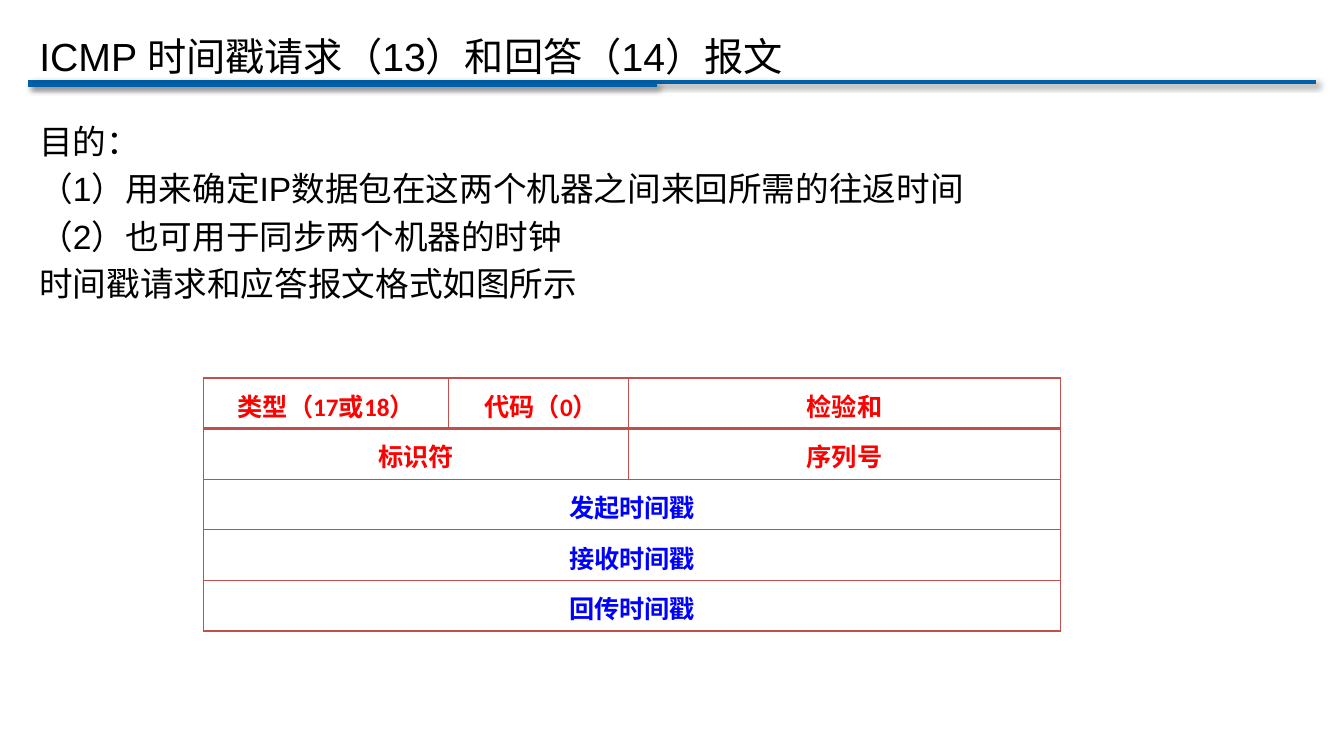
from dataclasses import dataclass

from lxml import etree
from pptx import Presentation
from pptx.dml.color import RGBColor
from pptx.enum.shapes import MSO_CONNECTOR
from pptx.enum.text import MSO_ANCHOR, MSO_AUTO_SIZE, PP_ALIGN
from pptx.oxml import parse_xml
from pptx.oxml.ns import nsdecls, qn
from pptx.util import Inches, Pt

STRAIGHT = MSO_CONNECTOR.STRAIGHT
TOP, MIDDLE = MSO_ANCHOR.TOP, MSO_ANCHOR.MIDDLE
LEFT, CENTER = PP_ALIGN.LEFT, PP_ALIGN.CENTER
NO_FIT = MSO_AUTO_SIZE.NONE


@dataclass(frozen=True)
class Theme:
    text: str = "000000"
    rule: str = "0060A8"
    border: str = "C0504D"
    cell: str = "FFFFFF"
    header: str = "FF0000"
    timestamp: str = "0000FF"
    text_font: str = "Arial"
    table_font: str = "Calibri"
    title_size: int = 28
    body_size: int = 24
    table_size: int = 18
    rule_width: int = 3


THEME = Theme()

TITLE = "ICMP 时间戳请求（13）和回答（14）报文"
PURPOSE = [
    "目的：",
    "（1）用来确定IP数据包在这两个机器之间来回所需的往返时间",
    "（2）也可用于同步两个机器的时钟",
    "时间戳请求和应答报文格式如图所示",
]
COLUMN_WIDTHS = [2.43, 1.78, 4.29]
ROW_HEIGHT = 0.47
MESSAGE_FIELDS = [
    [("类型（17或18）", 1), (" 代码（0）", 1), ("检验和", 1)],
    [("标识符", 2), ("序列号", 1)],
    [("发起时间戳", 3)],
    [("接收时间戳", 3)],
    [("回传时间戳", 3)],
]
HEADER_ROWS = 2


def style_paragraph(para, font_name, size, color, align, bold=False):
    para.alignment = align
    for span in para.runs:
        span.font.name = font_name
        span.font.size = Pt(size)
        span.font.bold = bold
        span.font.color.rgb = RGBColor.from_string(color)


def place_text(box, lines, bounds, size, anchor):
    box.left, box.top, box.width, box.height = map(Inches, bounds)
    frame = box.text_frame
    frame.text = "\n".join(lines)
    frame.word_wrap = True
    frame.auto_size = NO_FIT
    frame.vertical_anchor = anchor
    for index, para in enumerate(frame.paragraphs):
        properties = para._p.get_or_add_pPr()
        properties.set("marL", "0")
        properties.set("indent", "0")
        etree.SubElement(properties, qn("a:buNone"))
        para.space_before = Pt(5 if index else 0)
        style_paragraph(para, THEME.text_font, size, THEME.text, LEFT)


def add_rule(page, right, y):
    left = 0.28
    rule = page.shapes.add_connector(
        STRAIGHT, Inches(left), Inches(y), Inches(right), Inches(y))
    rule.line.color.rgb = RGBColor.from_string(THEME.rule)
    rule.line.width = Pt(THEME.rule_width)
    rule._element.spPr.append(parse_xml(
        f'<a:effectLst {nsdecls("a")}>'
        f'<a:outerShdw blurRad="{Pt(4)}" dist="{Pt(3)}" dir="2700000">'
        '<a:srgbClr val="000000"><a:alpha val="40000"/></a:srgbClr>'
        '</a:outerShdw></a:effectLst>'))
    page.shapes._spTree.insert(2, rule._element)


def set_borders(cell, top, bottom):
    widths = {"lnL": 1, "lnR": 1, "lnT": top, "lnB": bottom}
    properties = cell._tc.get_or_add_tcPr()
    for index, (side, width) in enumerate(widths.items()):
        properties.insert(index, parse_xml(
            f'<a:{side} {nsdecls("a")} w="{Pt(width)}"><a:solidFill>'
            f'<a:srgbClr val="{THEME.border}"/></a:solidFill></a:{side}>'))


def style_cell(cell, row):
    cell.fill.solid()
    cell.fill.fore_color.rgb = RGBColor.from_string(THEME.cell)
    cell.vertical_anchor = MIDDLE
    cell.margin_top = Inches(0.09)
    cell.margin_bottom = Inches(0.05)
    set_borders(cell, top=2 if row == 1 else 1, bottom=2 if row == 0 else 1)


def add_message_table(page):
    row_count, column_count = len(MESSAGE_FIELDS), len(COLUMN_WIDTHS)
    table = page.shapes.add_table(
        row_count, column_count, Inches(2.02), Inches(3.75),
        Inches(sum(COLUMN_WIDTHS)), Inches(ROW_HEIGHT * row_count)).table
    table.first_row = False
    table.horz_banding = False
    for column, width in zip(table.columns, COLUMN_WIDTHS):
        column.width = Inches(width)
    for row, fields in enumerate(MESSAGE_FIELDS):
        table.rows[row].height = Inches(ROW_HEIGHT)
        for column in range(column_count):
            style_cell(table.cell(row, column), row)
        color = THEME.header if row < HEADER_ROWS else THEME.timestamp
        column = 0
        for label, width in fields:
            cell = table.cell(row, column)
            if width > 1:
                cell.merge(table.cell(row, column + width - 1))
            cell.text_frame.text = label
            style_paragraph(cell.text_frame.paragraphs[0], THEME.table_font,
                            THEME.table_size, color, CENTER, bold=True)
            column += width


def main():
    deck = Presentation()
    deck.slide_width = Inches(13.33)
    deck.slide_height = Inches(7.5)
    page = deck.slides.add_slide(deck.slide_layouts[1])
    place_text(page.shapes.title, [TITLE], (0.29, 0.21, 8.88, 0.69),
               THEME.title_size, MIDDLE)
    place_text(page.placeholders[1], PURPOSE, (0.29, 1.15, 12.76, 2.65),
               THEME.body_size, TOP)
    add_rule(page, right=6.52, y=0.84)
    add_rule(page, right=13.05, y=0.81)
    add_message_table(page)
    deck.save("out.pptx")


if __name__ == "__main__":
    main()
